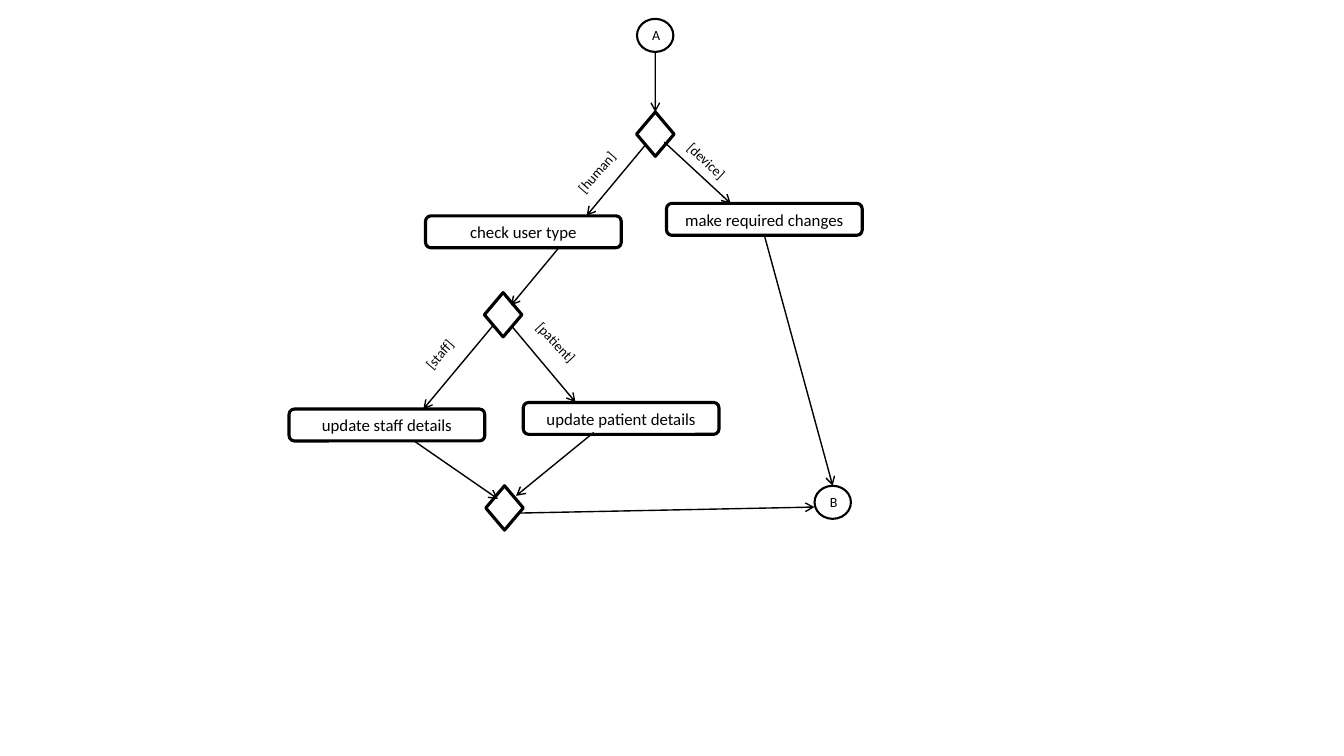
import pptx
import pptx.dml.color
import pptx.enum.shapes
import pptx.enum.text
import pptx.util
from lxml import etree

Pt = pptx.util.Pt
SHAPE = pptx.enum.shapes.MSO_SHAPE
ALIGN = pptx.enum.text.PP_ALIGN
ANCHOR = pptx.enum.text.MSO_ANCHOR
AUTO_SIZE = pptx.enum.text.MSO_AUTO_SIZE
NS = "http://schemas.openxmlformats.org/drawingml/2006/main"


def color(value):
    return pptx.dml.color.RGBColor.from_string(value)


class Flowchart:
    ink = "000000"
    paper = "FFFFFF"
    font = "Calibri"

    def __init__(self, s):
        self.s = s

    def text(self, tf, text, size, align):
        for name, value in {"word_wrap": True, "vertical_anchor": ANCHOR.MIDDLE}.items():
            setattr(tf, name, value)
        p = tf.paragraphs[0]
        p.alignment = align
        r = p.add_run()
        r.text = text
        for name, value in {"name": self.font, "size": Pt(size)}.items():
            setattr(r.font, name, value)
        r.font.color.rgb = color(self.ink)

    def node(self, kind, x, y, w, h, weight, fill=None):
        sp = self.s.shapes.add_shape(kind, Pt(x), Pt(y), Pt(w), Pt(h))
        sp.shadow.inherit = False
        if fill:
            sp.fill.solid()
            sp.fill.fore_color.rgb = color(fill)
        else:
            sp.fill.background()
        sp.line.color.rgb = color(self.ink)
        sp.line.width = Pt(weight)
        return sp

    def circle(self, text, x, y):
        sp = self.node(SHAPE.OVAL, x, y, 26, 23.6, 1.5)
        self.text(sp.text_frame, text, 10, ALIGN.CENTER)
        return sp

    def decision(self, x, y):
        return self.node(SHAPE.DIAMOND, x, y, 26.8, 31.7, 2.25)

    def action(self, text, x, y):
        sp = self.node(SHAPE.ROUNDED_RECTANGLE, x, y, 139.8, 22.8, 2.25, self.paper)
        self.text(sp.text_frame, text, 12, ALIGN.CENTER)
        return sp

    def label(self, text, x, y, angle):
        sp = self.s.shapes.add_textbox(Pt(x), Pt(y), Pt(56.9), Pt(19.4))
        sp.rotation = angle
        self.text(sp.text_frame, text, 10, ALIGN.LEFT)
        sp.text_frame.auto_size = AUTO_SIZE.SHAPE_TO_FIT_TEXT

    def arrow(self, x1, y1, x2, y2, begin=None, end=None):
        cx = self.s.shapes.add_connector(
            pptx.enum.shapes.MSO_CONNECTOR.STRAIGHT, Pt(x1), Pt(y1), Pt(x2), Pt(y2))
        cx.line.color.rgb = color(self.ink)
        cx.line.width = Pt(1)
        etree.SubElement(cx.line._get_or_add_ln(), f"{{{NS}}}tailEnd", type="arrow")
        etree.SubElement(cx._element.spPr, f"{{{NS}}}effectLst")
        if begin:
            cx.begin_connect(*begin)
        if end:
            cx.end_connect(*end)


def main():
    prs = pptx.Presentation()
    prs.slide_width, prs.slide_height = Pt(960), Pt(540)
    chart = Flowchart(prs.slides.add_slide(prs.slide_layouts[6]))

    chart.arrow(407.5, 167, 365, 218.2)

    chart.circle("A", 455, 13.5)
    end = chart.circle("B", 581.8, 347)
    source_check = chart.decision(454.7, 80)
    for x, y in ((346, 209), (347, 347)):
        chart.decision(x, y)

    chart.action("check user type", 304, 154.2)
    changes = chart.action("make required changes", 476.1, 145.3)
    chart.action("update staff details", 206.5, 292.2)
    chart.action("update patient details", 373.8, 287.5)

    for text, x, y, angle in (
        ("[device]", 480.2, 108.7, 43),
        ("[human]", 400.3, 110.2, 311),
        ("[staff]", 291.6, 236.2, 311),
        ("[patient]", 371.5, 237.6, 47),
    ):
        chart.label(text, x, y, angle)

    for points in (
        (461.5, 103, 419, 154.1),
        (474.5, 101.5, 522, 145.4),
        (352.8, 231.8, 302.4, 292.3),
        (365.8, 233.3, 411.1, 287.3),
        (295.2, 314.6, 355.7, 356.4),
        (424.1, 308.9, 368.6, 354.2),
        (370.1, 366.5, 581.8, 362.2),
    ):
        chart.arrow(*points)
    chart.arrow(468, 37, 468, 80, end=(source_check, 0))
    chart.arrow(546, 168, 594.8, 347, begin=(changes, 2), end=(end, 0))

    prs.save("out.pptx")


if __name__ == "__main__":
    main()
